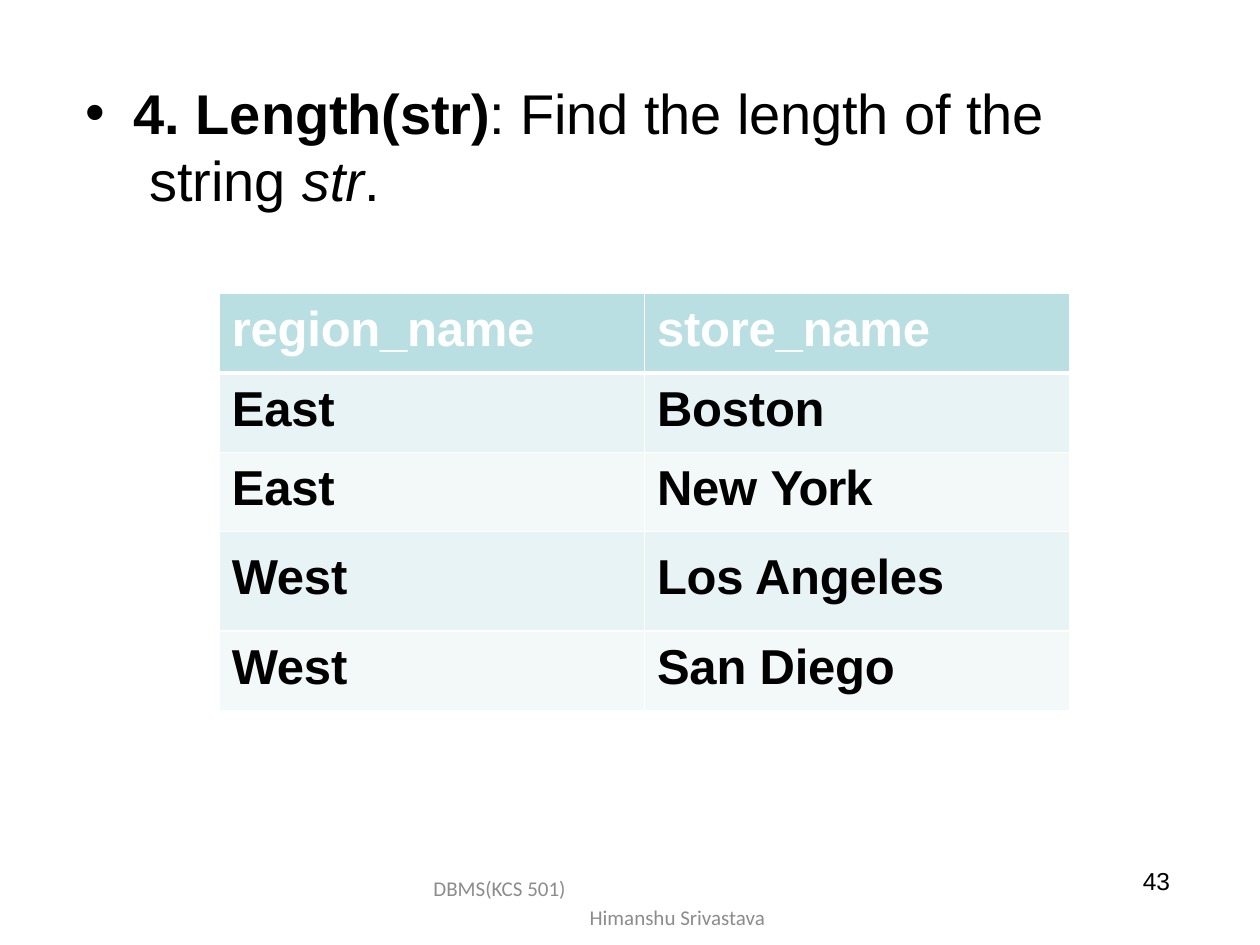
from lxml.etree import SubElement
from pptx import Presentation
from pptx.dml.color import RGBColor
from pptx.enum.text import MSO_ANCHOR
from pptx.oxml.ns import qn
from pptx.util import Inches, Pt

COLORS = {
    "ink": "000000",
    "muted": "8C8C8C",
    "white": "FFFFFF",
    "header": "BADFE2",
    "odd": "E7F3F4",
    "even": "F3F8F9",
}


def rgb(name):
    """Return the named colour."""
    return RGBColor.from_string(COLORS[name])


class Deck:
    """Holds the text style and the current slide."""

    font = "Arial"

    def __init__(self, width, height):
        """Start a presentation with one blank slide."""
        self.prs = Presentation()
        self.prs.slide_width, self.prs.slide_height = Inches(width), Inches(height)
        self.s = self.prs.slides.add_slide(self.prs.slide_layouts[6])

    def run(self, p, text, size, color="ink", bold=False, italic=False,
            font=None, spacing=0):
        """Add one run; spacing is in hundredths of a point."""
        r = p.add_run()
        r.text = text
        r.font.size, r.font.name = Pt(size), font or self.font
        r.font.bold, r.font.italic = bold, italic
        r.font.color.rgb = rgb(color)
        if spacing:
            r._r.get_or_add_rPr().set("spc", str(spacing))

    def indent(self, p, left, first=0):
        """Set the left margin and first-line indent."""
        pPr = p._p.get_or_add_pPr()
        pPr.set("marL", str(Inches(left)))
        pPr.set("indent", str(Inches(first)))
        return pPr

    def text_box(self, left, top, width, height, inset_top=0, anchor=MSO_ANCHOR.TOP):
        """Add a wrapping text box and return its frame."""
        box = self.s.shapes.add_textbox(
            Inches(left), Inches(top), Inches(width), Inches(height))
        tf = box.text_frame
        tf.word_wrap, tf.vertical_anchor = True, anchor
        tf.margin_left = tf.margin_right = tf.margin_bottom = 0
        tf.margin_top = Inches(inset_top)
        return tf

    def bullet(self, tf, runs, size):
        """Fill the frame with one bulleted paragraph."""
        p = tf.paragraphs[0]
        p.space_before = Pt(1.1)
        pPr = self.indent(p, 0.39, -0.38)
        SubElement(pPr, qn("a:buFont")).set("typeface", self.font)
        SubElement(pPr, qn("a:buChar")).set("char", "•")
        for text, style in runs:
            self.run(p, text, size, **style)

    def small_lines(self, tf, lines, size, **style):
        """Add (text, indent) lines with fixed line spacing."""
        for i, (text, left) in enumerate(lines):
            p = tf.add_paragraph() if i else tf.paragraphs[0]
            p.line_spacing = Pt(16.5)
            self.indent(p, left)
            self.run(p, text, size, **style)

    def borders(self, cell, top, bottom):
        """Draw white cell borders, 1 pt at the sides."""
        tcPr = cell._tc.get_or_add_tcPr()
        widths = {"lnL": 1, "lnR": 1, "lnT": top, "lnB": bottom}
        for i, (tag, width) in enumerate(widths.items()):
            ln = tcPr.makeelement(qn("a:" + tag), {"w": str(Pt(width))})
            fill = SubElement(ln, qn("a:solidFill"))
            SubElement(fill, qn("a:srgbClr")).set("val", COLORS["white"])
            tcPr.insert(i, ln)

    def table(self, left, top, width, rows, heights, pads):
        """Add a banded table; pads are space above the text in points."""
        cols = len(rows[0])
        tbl = self.s.shapes.add_table(
            len(rows), cols, Inches(left), Inches(top),
            Inches(width), Inches(sum(heights))).table
        for i, row in enumerate(rows):
            tbl.rows[i].height = Inches(heights[i])
            band = "header" if i == 0 else ("odd" if i % 2 else "even")
            for j, runs in enumerate(row):
                cell = tbl.cell(i, j)
                cell.fill.solid()
                cell.fill.fore_color.rgb = rgb(band)
                self.borders(cell, 3 if i == 1 else 1, 3 if i == 0 else 1)
                cell.margin_left = cell.margin_right = cell.margin_bottom = 0
                cell.margin_top = Pt(pads[i])
                p = cell.text_frame.paragraphs[0]
                p.space_before = Pt(pads[i])
                self.indent(p, 0.1)
                for text, spacing in runs:
                    self.run(p, text, 28, "ink" if i else "white",
                             bold=True, spacing=spacing)


def main():
    """Build and save the slide."""
    deck = Deck(10, 7.5)

    tf = deck.text_box(0.67, 0.61, 7.65, 1.1, inset_top=0.01)
    deck.bullet(tf, [
        ("4. ", {"bold": True}),
        ("Length(str)", {"bold": True, "spacing": -10}),
        (": Find the length ", {"spacing": -10}),
        ("of ", {}),
        ("the \u00a0", {"spacing": -10}),
        ("string ", {}),
        ("str", {"italic": True}),
        (".", {}),
    ], 32)

    tf = deck.text_box(3.42, 6.95, 3.17, 0.4, anchor=MSO_ANCHOR.MIDDLE)
    deck.small_lines(tf, [("DBMS(KCS 501)", 0.02), ("Himanshu Srivastava", 1.26)],
                     12, color="muted", font="Calibri")
    tf = deck.text_box(9.03, 6.88, 0.41, 0.25)
    deck.small_lines(tf, [("43", 0.04)], 14)

    rows = [
        [[("region_name", -10)], [("store_name", -10)]],
        [[("East", -10)], [("Boston", -10)]],
        [[("East", -10)], [("New ", -10), ("York", -60)]],
        [[("West", -10)], [("Los Angeles", -10)]],
        [[("West", -10)], [("San Diego", -10)]],
    ]
    deck.table(1.74, 2.33, 6.75, rows,
               heights=[0.63, 0.63, 0.63, 0.79, 0.63],
               pads=[5.2, 5.2, 5.2, 10.8, 5.2])

    deck.prs.save("out.pptx")


main()
